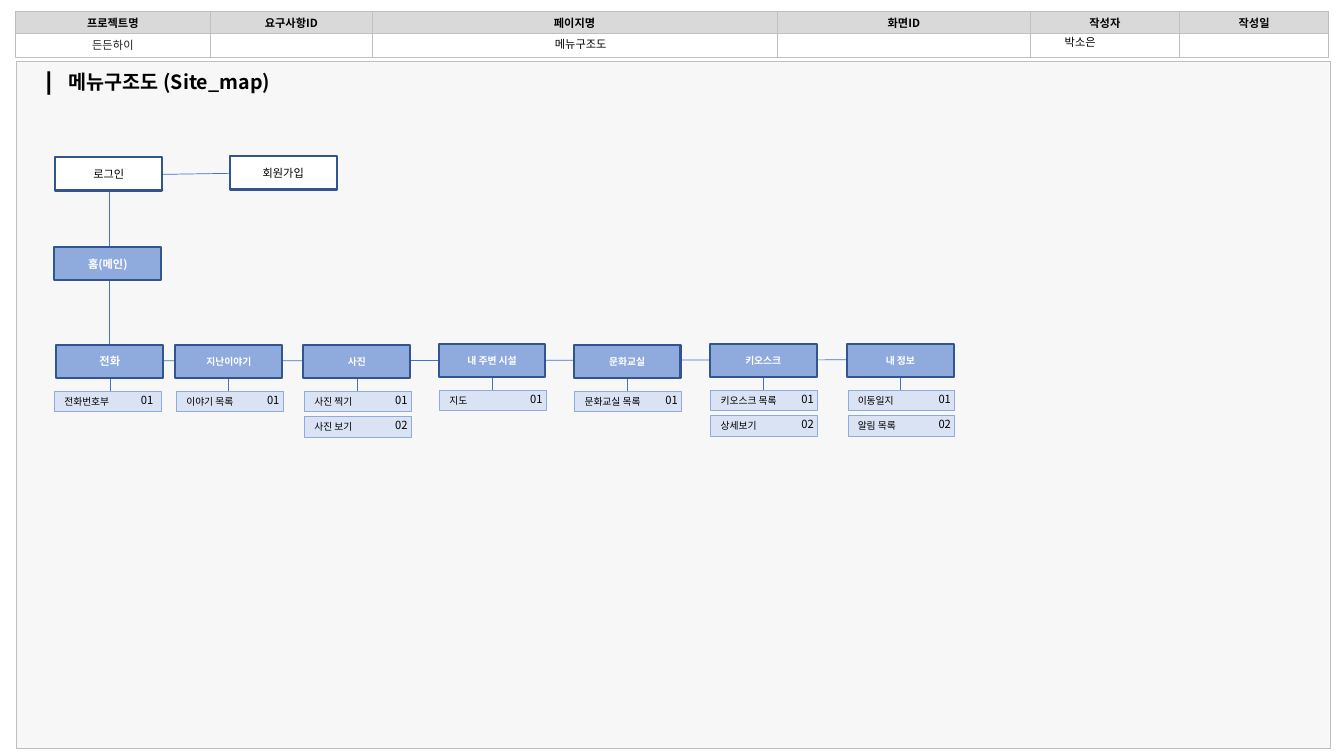
import pptx
import pptx.util
import pptx.dml.color
import pptx.enum.shapes
import pptx.enum.text
import pptx.oxml.ns
from lxml import etree

Inches = pptx.util.Inches
Pt = pptx.util.Pt
ALIGN = pptx.enum.text.PP_ALIGN
ANCHOR = pptx.enum.text.MSO_ANCHOR
FONT = "Noto Sans CJK KR"
COLORS = {"black": "000000", "white": "FFFFFF", "ink": "1C1C1C", "head": "D9D9D9",
          "grid": "C0C0C0", "panel": "F7F7F7", "edge": "BFBFBF", "navy": "325491",
          "menu": "8FAADC", "item": "DAE3F3", "link": "4472C4"}

# Fill, outline, outline width and text format of each kind of box
BOXES = {
    "entry": ("white", "navy", 1.5, "black", ALIGN.CENTER, {"size": Pt(8), "bold": False}),
    "home": ("menu", "navy", 1.5, "white", ALIGN.CENTER, {"size": Pt(8), "bold": True}),
    "menu": ("menu", "navy", 1.5, "white", ALIGN.CENTER, {"size": Pt(7), "bold": True}),
    "item": ("item", "menu", 0.5, "black", ALIGN.LEFT, {"size": Pt(7), "bold": False}),
}
BOX_W, BOX_H, ITEM_H, ITEM_PITCH = 1.06, 0.33, 0.2, 0.255

# Menu name, kind, left, top, item shift, number shift, items
MENUS = [
    ("전화", "home", 0.56, 3.42, -0.02, 0.76, ["전화번호부"]),
    ("지난이야기", "menu", 1.74, 3.42, 0.01, 0.8, ["이야기 목록"]),
    ("사진", "menu", 3.01, 3.42, 0.01, 0.8, ["사진 찍기", "사진 보기"]),
    ("내 주변 시설", "menu", 4.35, 3.41, 0.01, 0.8, ["지도"]),
    ("문화교실", "menu", 5.69, 3.42, 0.01, 0.8, ["문화교실 목록"]),
    ("키오스크", "menu", 7.04, 3.41, 0.01, 0.8, ["키오스크 목록", "상세보기"]),
    ("내 정보", "menu", 8.4, 3.41, 0.01, 0.8, ["이동일지", "알림 목록"]),
]
HEADER = [("프로젝트명", 1.94, "든든하이"), ("요구사항ID", 1.6, ""), ("페이지명", 4.02, ""),
          ("화면ID", 2.51, ""), ("작성자", 1.48, ""), ("작성일", 1.48, "")]


def rgb(name):
    return pptx.dml.color.RGBColor.from_string(COLORS[name])


def add_child(parent, tag, **attributes):
    return etree.SubElement(parent, pptx.oxml.ns.qn(tag), attributes)


def write(paragraph, text, color, align, formats, face=FONT):
    paragraph.alignment = align
    run = paragraph.add_run()
    run.text = text
    for key, value in {**formats, "name": face}.items():
        setattr(run.font, key, value)
    run.font.color.rgb = rgb(color)
    add_child(run.font._element, "a:ea", typeface=face)


def draw_link(slide, start, end):
    link = slide.shapes.add_connector(pptx.enum.shapes.MSO_CONNECTOR.STRAIGHT,
                                      *map(Inches, start + end))
    link.line.color.rgb = rgb("link")
    link.line.width = Pt(0.5)
    add_child(link.element.spPr, "a:effectLst")


def draw_rect(slide, box, kind, fill, edge, width):
    rect = slide.shapes.add_shape(kind, *map(Inches, box))
    rect.shadow.inherit = False
    rect.fill.solid()
    rect.fill.fore_color.rgb = rgb(fill)
    rect.line.color.rgb = rgb(edge)
    rect.line.width = Pt(width)
    return rect


def draw_box(slide, left, top, height, text, kind):
    fill, edge, width, color, align, formats = BOXES[kind]
    box = draw_rect(slide, (left, top, BOX_W, height),
                    pptx.enum.shapes.MSO_SHAPE.FLOWCHART_PROCESS, fill, edge, width)
    box.text_frame.vertical_anchor = ANCHOR.MIDDLE
    write(box.text_frame.paragraphs[0], text, color, align, formats)


def draw_header(slide, box):
    table_frame = slide.shapes.add_table(2, len(HEADER), *map(Inches, box))
    table = table_frame.table
    for row, height in zip(table.rows, (0.22, 0.24)):
        row.height = Inches(height)
    for column, (label, width, value) in enumerate(HEADER):
        table.columns[column].width = Inches(width)
        for row, text in enumerate((label, value)):
            cell = table.cell(row, column)
            side = Inches(0.05 if row else 0.1)
            for key, length in {"margin_left": side, "margin_right": side,
                                "margin_top": 0, "margin_bottom": 0}.items():
                setattr(cell, key, length)
            cell.vertical_anchor = ANCHOR.MIDDLE
            paragraph = cell.text_frame.paragraphs[0]
            if text:
                write(paragraph, text, "ink" if row else "black", ALIGN.CENTER,
                      {"size": Pt(8), "bold": not row}, "Arial" if row else FONT)
            else:
                add_child(paragraph._p, "a:endParaRPr", sz="800")
            # Borders come before the fill
            properties = cell._tc.get_or_add_tcPr()
            for border in ("a:lnL", "a:lnR", "a:lnT", "a:lnB"):
                line = add_child(properties, border, w=str(Pt(0.75)))
                add_child(add_child(line, "a:solidFill"), "a:srgbClr", val=COLORS["grid"])
            cell.fill.solid()
            cell.fill.fore_color.rgb = rgb("white" if row else "head")


def fill_placeholder(placeholder, box, text, align, formats, bullet=None):
    for key, length in zip(("left", "top", "width", "height"), box):
        setattr(placeholder, key, Inches(length))
    placeholder.element.getparent().append(placeholder.element)  # bring to front
    frame = placeholder.text_frame
    for key, value in {"word_wrap": True, "vertical_anchor": ANCHOR.TOP,
                       "auto_size": pptx.enum.text.MSO_AUTO_SIZE.NONE}.items():
        setattr(frame, key, value)
    paragraph = frame.paragraphs[0]
    properties = paragraph._p.get_or_add_pPr()
    indent = Inches(0.31) if bullet else 0
    properties.set("marL", str(indent))
    properties.set("indent", str(-indent))
    if bullet:
        add_child(properties, "a:buSzPct", val="120000")
        add_child(properties, "a:buFont", typeface=FONT)
        add_child(properties, "a:buChar", char=bullet)
    else:
        add_child(properties, "a:buNone")
    paragraph.line_spacing = 0.9
    paragraph.space_before = Pt(0)
    write(paragraph, text, "black", align, formats)


def draw_number(slide, left, top, text):
    number = slide.shapes.add_textbox(*map(Inches, (left, top, 0.32, 0.24)))
    # No right margin, so both digits fit on one line
    for key, value in {"word_wrap": False, "margin_right": 0}.items():
        setattr(number.text_frame, key, value)
    write(number.text_frame.paragraphs[0], text, "black", ALIGN.LEFT, {"size": Pt(8)})


def draw_menu(slide, name, kind, left, top, item_shift, number_shift, items):
    stem = left + BOX_W / 2
    draw_link(slide, (stem, top + BOX_H), (stem, top + 0.47))
    draw_box(slide, left, top, BOX_H, name, kind)
    for index, item in enumerate(items):
        item_left = left + item_shift
        item_top = top + 0.46 + index * ITEM_PITCH
        draw_box(slide, item_left, item_top, ITEM_H, item, "item")
        draw_number(slide, item_left + number_shift, item_top - 0.03, f"{index + 1:02d}")


def draw_site_map(slide):
    # Links lie behind the boxes
    draw_link(slide, (1.62, 3.58), (8.4, 3.57))
    draw_link(slide, (1.08, 1.89), (1.08, 3.42))
    draw_link(slide, (1.61, 1.73), (2.28, 1.72))
    draw_box(slide, 0.55, 1.56, BOX_H, "로그인", "entry")
    draw_box(slide, 2.28, 1.55, BOX_H, "회원가입", "entry")
    draw_box(slide, 0.54, 2.45, BOX_H, "홈(메인)", "home")
    for menu in MENUS:
        draw_menu(slide, *menu)


def main():
    deck = pptx.Presentation()
    deck.slide_width, deck.slide_height = Inches(13.33), Inches(7.5)
    slide = deck.slides.add_slide(deck.slide_layouts[3])
    title, page_name, author = list(slide.placeholders)[:3]

    # Header table and panel
    draw_header(slide, (0.15, 0.11, 13.04, 0.46))
    draw_rect(slide, (0.16, 0.61, 13.04, 6.82), pptx.enum.shapes.MSO_SHAPE.RECTANGLE,
              "panel", "edge", 0.75)

    # Title and header entries
    fill_placeholder(page_name, (4.2, 0.34, 3.12, 0.16), "메뉴구조도", ALIGN.CENTER,
                     {"size": Pt(8)})
    fill_placeholder(title, (0.27, 0.67, 6.25, 0.4), "메뉴구조도 (Site_map)", ALIGN.LEFT,
                     {"size": Pt(14), "bold": True}, "┃")
    fill_placeholder(author, (10.46, 0.32, 1.13, 0.18), "박소은", ALIGN.LEFT, {"size": Pt(8)})

    draw_site_map(slide)
    deck.save("out.pptx")


if __name__ == "__main__":
    main()
